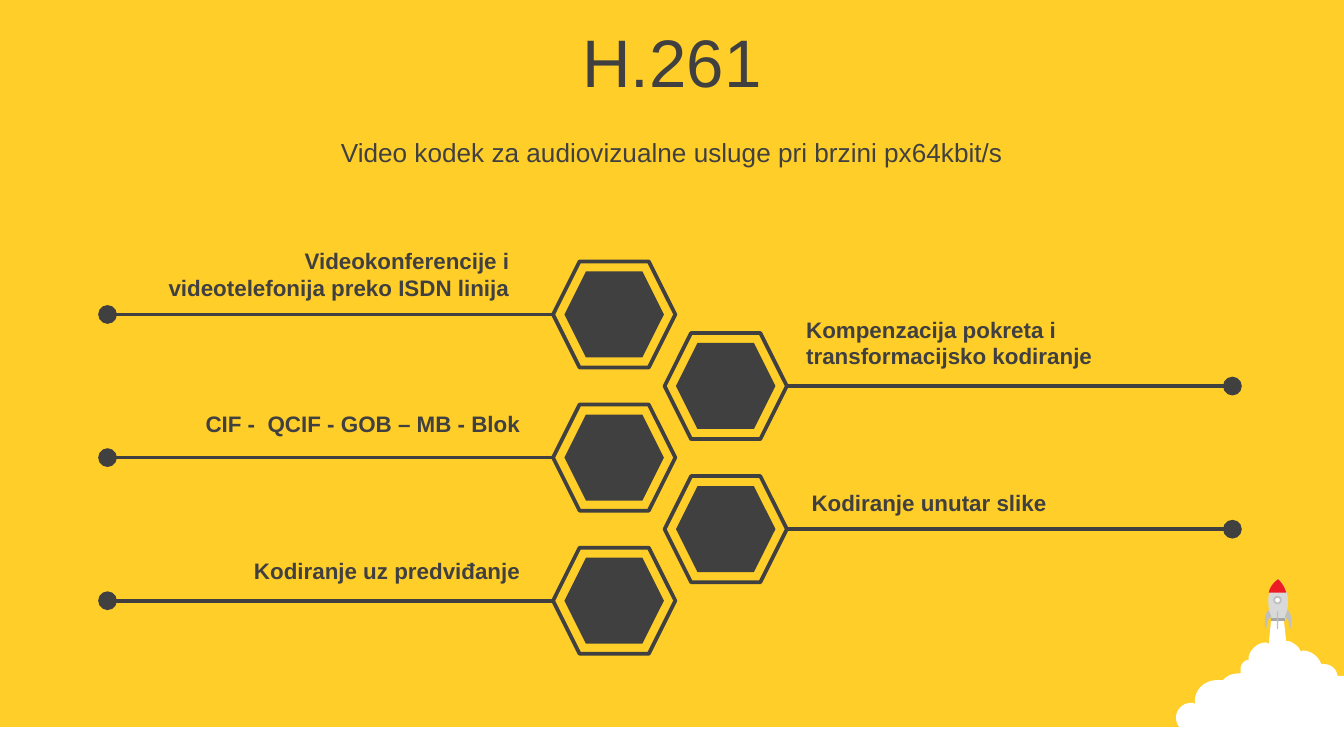
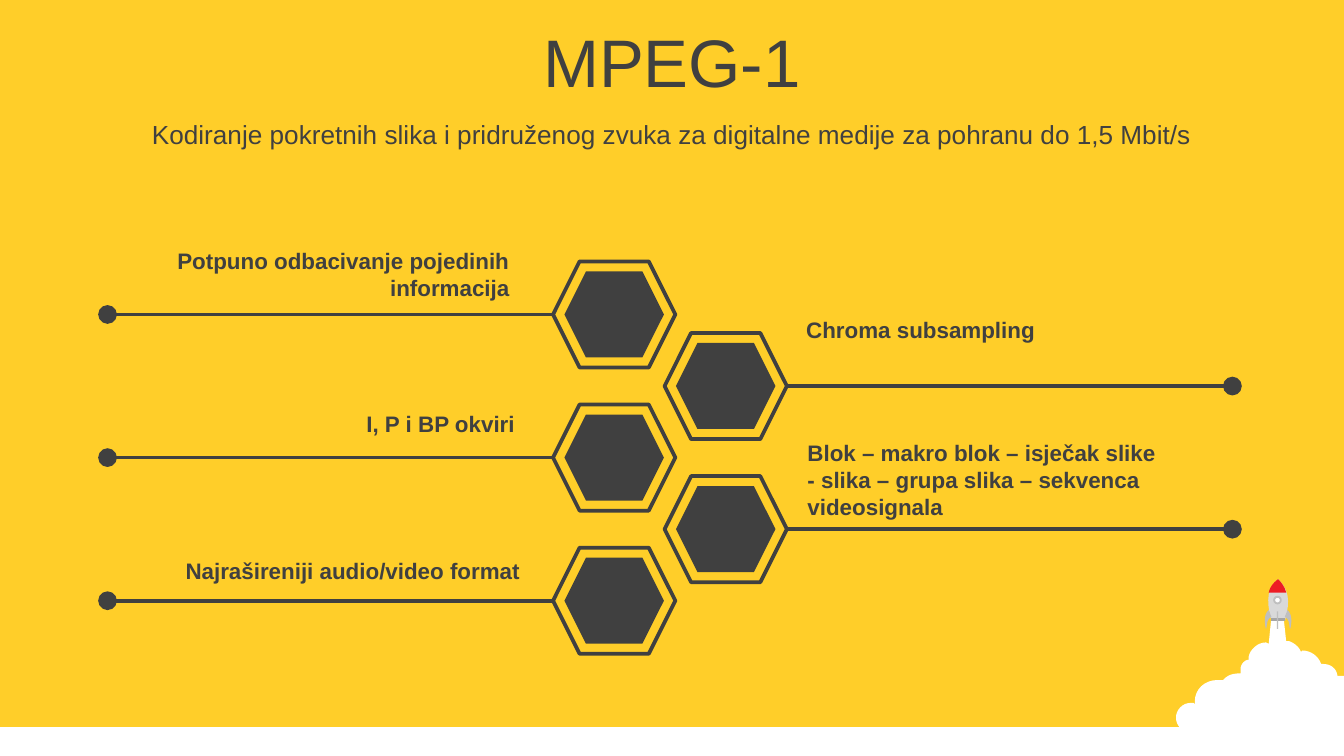
import pptx
import pptx.util
import pptx.dml.color
import pptx.enum.shapes
import pptx.enum.text
import pptx.oxml.ns
from lxml import etree

Inches = pptx.util.Inches
Pt = pptx.util.Pt
RGBColor = pptx.dml.color.RGBColor
Shape = pptx.enum.shapes.MSO_SHAPE
Align = pptx.enum.text.PP_ALIGN
Anchor = pptx.enum.text.MSO_ANCHOR
Fit = pptx.enum.text.MSO_AUTO_SIZE
qn = pptx.oxml.ns.qn

YELLOW = RGBColor(0xFF, 0xCE, 0x29)
DARK = RGBColor(0x40, 0x40, 0x40)
WHITE = RGBColor(0xFF, 0xFF, 0xFF)
LIGHT = RGBColor(0xD9, 0xD9, 0xD9)
SILVER = RGBColor(0xBF, 0xBF, 0xBF)
GREY = RGBColor(0xA6, 0xA6, 0xA6)
RED = RGBColor(0xED, 0x1C, 0x24)

WIDE = 10
HIGH = WIDE * 9 / 16
FONT = "Arial"
TOP, LAST = 2.34, 4.47  # centres of the first and last hexagons

# Each outline starts at a point; two numbers draw a line, six a curve.
CLOUD = [
    (9.46, 4.59), (9.55, 4.59), (9.57, 4.77), (9.59, 4.77),
    (9.62, 4.78, 9.65, 4.8, 9.67, 4.83), (9.68, 4.85), (9.69, 4.84),
    (9.75, 4.84, 9.81, 4.88, 9.83, 4.94), (9.84, 4.94),
    (9.9, 4.94, 9.94, 4.97, 9.95, 5.02), (9.95, 5.03), (10, 5.03),
    (10, 5.6), (9.98, 5.6), (9.94, 5.6, 9.9, 5.59, 9.87, 5.57), (9.86, 5.56),
    (9.85, 5.57), (9.83, 5.58, 9.81, 5.59, 9.78, 5.59),
    (9.75, 5.59, 9.73, 5.57, 9.71, 5.55), (9.69, 5.54),
    (9.67, 5.58, 9.64, 5.59, 9.6, 5.59), (9.57, 5.59, 9.54, 5.58, 9.52, 5.56),
    (9.51, 5.55), (9.49, 5.56), (9.45, 5.59, 9.4, 5.61, 9.34, 5.61),
    (9.23, 5.61, 9.17, 5.56, 9.13, 5.51), (9.11, 5.53, 9.07, 5.54, 9.04, 5.53),
    (9, 5.52, 8.94, 5.5, 8.93, 5.45), (8.93, 5.43), (8.92, 5.44),
    (8.91, 5.45, 8.89, 5.45, 8.86, 5.45), (8.8, 5.45, 8.75, 5.4, 8.75, 5.34),
    (8.75, 5.28, 8.8, 5.23, 8.86, 5.23), (8.88, 5.23), (8.89, 5.24),
    (8.89, 5.22), (8.89, 5.13, 8.96, 5.06, 9.06, 5.06), (9.1, 5.06),
    (9.11, 5.05), (9.14, 5.02, 9.18, 5.01, 9.23, 5.01), (9.23, 4.98),
    (9.23, 4.95, 9.25, 4.92, 9.28, 4.91), (9.29, 4.91), (9.29, 4.89),
    (9.3, 4.83, 9.36, 4.78, 9.42, 4.78), (9.44, 4.79),
]
BODY = [(9.46, 4.62), (9.44, 4.53, 9.4, 4.4, 9.51, 4.31),
        (9.62, 4.41, 9.58, 4.54, 9.56, 4.62)]
BASE = [(9.46, 4.6), (9.56, 4.6), (9.56, 4.62), (9.46, 4.62)]
NOSE = [(9.51, 4.31), (9.54, 4.34, 9.56, 4.37, 9.57, 4.41), (9.44, 4.41),
        (9.45, 4.37, 9.47, 4.34, 9.51, 4.31)]
FIN = [(9.44, 4.54), (9.46, 4.59), (9.42, 4.61, 9.43, 4.66, 9.42, 4.68),
       (9.41, 4.65, 9.4, 4.57, 9.44, 4.54)]
TWIN = [[2 * 9.51 - v if i % 2 == 0 else v for i, v in enumerate(part)]
        for part in FIN]
ROCKET = [(CLOUD, WHITE), (BODY, LIGHT), (BASE, GREY), (NOSE, RED),
          (FIN, SILVER), (TWIN, SILVER)]

# Labels run from the top hexagon down: left, top, lines, text.
SLIDES = [
    ("H.261", 0.98, "Video kodek za audiovizualne usluge pri brzini px64kbit/s", [
        (1.06, 1.79, 2, "Videokonferencije i videotelefonija preko ISDN linija"),
        (5.9, 2.3, 2, "Kompenzacija pokreta i transformacijsko kodiranje"),
        (1.14, 3, 1, "CIF -  QCIF - GOB – MB - Blok"),
        (5.94, 3.59, 1, "Kodiranje unutar slike"),
        (1.14, 4.1, 1, "Kodiranje uz predviđanje"),
    ]),
    ("MPEG-1", 0.84, "Kodiranje pokretnih slika i pridruženog zvuka "
     "za digitalne medije za pohranu do 1,5 Mbit/s", [
        (1.06, 1.79, 2, "Potpuno odbacivanje pojedinih informacija"),
        (5.9, 2.3, 1, "Chroma subsampling"),
        (1.1, 3, 1, "I, P i BP okviri"),
        (5.91, 3.22, 3, "Blok – makro blok – isječak slike - slika "
         "– grupa slika – sekvenca videosignala"),
        (1.14, 4.1, 1, "Najrašireniji audio/video format"),
    ]),
]


def paint(shape, fill, edge=None, width=1):
    shape.shadow.inherit = False
    shape.fill.solid()
    shape.fill.fore_color.rgb = fill
    if edge is None:
        shape.line.fill.background()
    else:
        shape.line.color.rgb = edge
        shape.line.width = Pt(width)


def write(slide, text, box, size, align, bold=False):
    """Add a text box and return its frame."""
    frame = slide.shapes.add_textbox(*map(Inches, box)).text_frame
    frame.word_wrap = True
    para = frame.paragraphs[0]
    para.text = text
    para.alignment = align
    para.font.name = FONT
    para.font.size = Pt(size)
    para.font.bold = bold
    para.font.color.rgb = DARK
    return frame


prs = pptx.Presentation()
prs.slide_width = Inches(WIDE)
prs.slide_height = Inches(HIGH)
back = prs.slide_master.background.fill
back.solid()
back.fore_color.rgb = YELLOW

for title, drop, lead, labels in SLIDES:
    slide = prs.slides.add_slide(prs.slide_layouts[6])
    band = slide.shapes.add_shape(
        Shape.RECTANGLE, 0, Inches(5.41), Inches(WIDE), Inches(0.24))
    paint(band, WHITE)

    # Rocket on its cloud
    group = slide.shapes.add_group_shape().shapes
    for parts, fill in ROCKET:
        x, y = parts[0]
        pen = group.build_freeform(Inches(x), Inches(y))
        dots = []
        for part in parts[1:]:
            if len(part) == 2:
                dots.append(part)
            else:
                a, b, c, d, e, f = part
                for t in [n / 8 for n in range(1, 9)]:
                    u = 1 - t
                    k = (u ** 3, 3 * u * u * t, 3 * u * t * t, t ** 3)
                    dots.append((k[0] * x + k[1] * a + k[2] * c + k[3] * e,
                                 k[0] * y + k[1] * b + k[2] * d + k[3] * f))
            x, y = part[-2:]
        pen.add_line_segments([(Inches(p), Inches(q)) for p, q in dots])
        paint(pen.convert_to_shape(), fill)
    port = group.add_shape(Shape.OVAL, *map(Inches, (9.48, 4.44, 0.05, 0.05)))
    paint(port, WHITE, SILVER)
    keel = group.add_shape(Shape.RECTANGLE, *map(Inches, (9.5, 4.55, 0.01, 0.13)))
    paint(keel, SILVER)

    frame = write(slide, title, (0, 0.14, WIDE, 0.63), 36, Align.CENTER)
    frame.vertical_anchor = Anchor.MIDDLE
    frame = write(slide, lead, (0, drop, WIDE, 0.31), 14, Align.CENTER)
    frame.vertical_anchor = Anchor.MIDDLE

    # Hexagons step down, left and right in turn
    step = (LAST - TOP) / (len(labels) - 1)
    for row, (left, top, lines, text) in enumerate(labels):
        mid = TOP + row * step
        if row % 2 == 0:
            hub, start, end, align = 4.57, 4.12, 0.8, Align.RIGHT
        else:
            hub, start, end, align = 5.4, 5.86, 9.17, Align.LEFT

        group = slide.shapes.add_group_shape().shapes
        for w, h, fill, edge in ((0.91, 0.79, YELLOW, DARK),
                                 (0.74, 0.64, DARK, None)):
            cell = group.add_shape(
                Shape.HEXAGON, Inches(hub - w / 2), Inches(mid - h / 2),
                Inches(w), Inches(h))
            paint(cell, fill, edge, 2)

        line = slide.shapes.add_connector(
            pptx.enum.shapes.MSO_CONNECTOR.STRAIGHT,
            Inches(start), Inches(mid), Inches(end), Inches(mid))
        line.line.color.rgb = DARK
        line.line.width = Pt(2)
        props = line._element.spPr
        etree.SubElement(props.find(qn("a:ln")), qn("a:tailEnd"),
                         type="oval", w="lg", len="lg")
        etree.SubElement(props, qn("a:effectLst"))

        box = (left, top, 2.83, 0.1 + 0.2 * lines)
        frame = write(slide, text, box, 12, align, True)
        frame.auto_size = Fit.SHAPE_TO_FIT_TEXT

prs.save("out.pptx")
